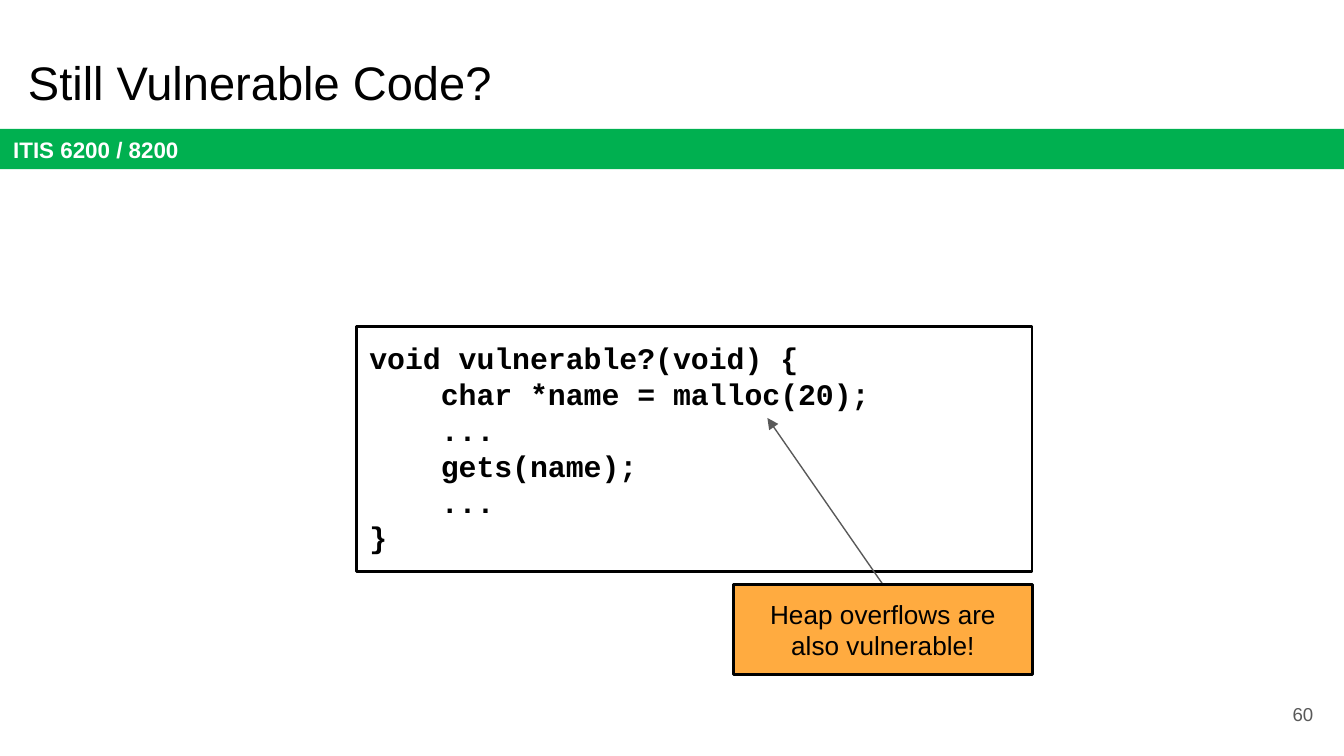
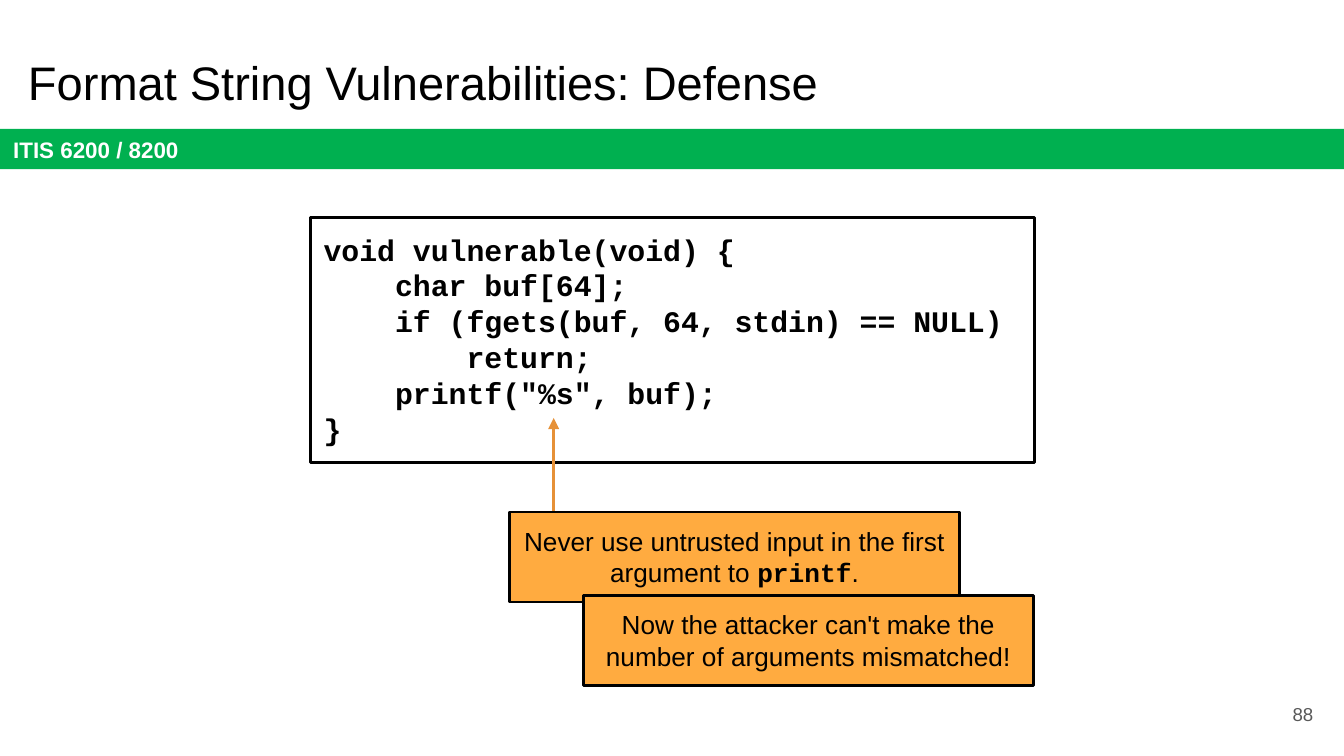
"""Builds two lecture slides on memory-safety vulnerabilities in C code."""
import pptx
import pptx.dml.color
import pptx.enum.shapes
import pptx.enum.text
import pptx.oxml.ns
import pptx.util
from lxml import etree

Inches = pptx.util.Inches
Pt = pptx.util.Pt
ALIGN = pptx.enum.text.PP_ALIGN
ANCHOR = pptx.enum.text.MSO_ANCHOR
FIT = pptx.enum.text.MSO_AUTO_SIZE

COLORS = {
    "black": "000000",
    "white": "FFFFFF",
    "green": "00B050",
    "orange": "FFAB40",
    "dark orange": "E69138",
    "gray": "595959",
}

COURSE = "ITIS 6200 / 8200"
SLIDES = [
    {
        "title": "Still Vulnerable Code?",
        "number": "60",
        "code_at": (2.65, 2.43, 5.03, 1.82),
        "code": [
            "void vulnerable?(void) {",
            "    char *name = malloc(20);",
            "    ...",
            "    gets(name);",
            "    ...",
            "}",
        ],
        "arrow": ((6.57, 4.35), (5.71, 3.11), "gray", 0.75),
        "callouts": [
            ((5.46, 4.35, 2.22, 0.67),
             [("Heap overflows are also vulnerable!", "callout")]),
        ],
    },
    {
        "title": "Format String Vulnerabilities: Defense",
        "number": "88",
        "code_at": (2.31, 1.62, 5.39, 1.82),
        "code": [
            "void vulnerable(void) {",
            "    char buf[64];",
            "    if (fgets(buf, 64, stdin) == NULL)",
            "        return;",
            '    printf("%s", buf);',
            "}",
        ],
        "arrow": ((4.12, 3.99), (4.12, 3.11), "dark orange", 1.5),
        "callouts": [
            ((3.79, 3.81, 3.35, 0.67),
             [("Never use untrusted input in the first argument to ", "callout"),
              ("printf", "inline code"), (".", "callout")]),
            ((4.34, 4.43, 3.35, 0.67),
             [("Now the attacker can't make the number of arguments mismatched!", "callout")]),
        ],
    },
]

FONTS = {
    "title": ({"name": "Arial", "size": Pt(25.2), "bold": False}, "black"),
    "course": ({"name": "Arial", "size": Pt(12), "bold": True}, "white"),
    "code": ({"name": "Courier New", "size": Pt(16), "bold": True}, "black"),
    "callout": ({"name": "Arial", "size": Pt(14), "bold": False}, "black"),
    "inline code": ({"name": "Courier New", "size": Pt(14), "bold": True}, "black"),
    "number": ({"name": "Arial", "size": Pt(10), "bold": False}, "gray"),
}
MARGINS = ("margin_left", "margin_top", "margin_right", "margin_bottom")
FRAME = {"word_wrap": True, **dict.fromkeys(MARGINS, Inches(0.1))}
PAGE = {"slide_width": Inches(10), "slide_height": Inches(10) * 9 // 16}


def rgb(color):
    return pptx.dml.color.RGBColor.from_string(COLORS[color])


def set_all(target, values):
    for attribute, value in values.items():
        setattr(target, attribute, value)


def write(holder, lines, align=ALIGN.LEFT, anchor=ANCHOR.TOP, fit=FIT.NONE):
    frame = holder.text_frame
    set_all(frame, {**FRAME, "vertical_anchor": anchor, "auto_size": fit})
    for index, line in enumerate(lines):
        paragraph = frame.add_paragraph() if index else frame.paragraphs[0]
        paragraph.alignment = align
        for words, style in line:
            run = paragraph.add_run()
            run.text = words
            values, color = FONTS[style]
            set_all(run.font, values)
            run.font.color.rgb = rgb(color)


def add_label(slide, at, words, style, **layout):
    label = slide.shapes.add_textbox(*map(Inches, at))
    write(label, [[(words, style)]], **layout)


def add_box(slide, at, fill, lines, outlined=True, **layout):
    box = slide.shapes.add_shape(
        pptx.enum.shapes.MSO_SHAPE.RECTANGLE, *map(Inches, at))
    box.shadow.inherit = False
    box.fill.solid()
    box.fill.fore_color.rgb = rgb(fill)
    if outlined:
        box.line.color.rgb = rgb("black")
        box.line.width = Pt(1.5)
    else:
        box.line.fill.background()
    write(box, lines, **layout)


def add_arrow(slide, start, end, color, width):
    arrow = slide.shapes.add_connector(
        pptx.enum.shapes.MSO_CONNECTOR.STRAIGHT, *map(Inches, start + end))
    arrow.line.color.rgb = rgb(color)
    arrow.line.width = Pt(width)
    qn = pptx.oxml.ns.qn
    properties = arrow.element.spPr
    etree.SubElement(properties.find(qn("a:ln")), qn("a:tailEnd"), type="triangle")
    etree.SubElement(properties, qn("a:effectLst"))


def build_slide(deck, content):
    slide = deck.slides.add_slide(deck.slide_layouts[6])
    add_box(slide, (0, 0.96, 10, 0.3), "green", [[(COURSE, "course")]],
            outlined=False, anchor=ANCHOR.MIDDLE)
    add_label(slide, (0.11, 0.3, 9.32, 0.63), content["title"], "title")
    add_box(slide, content["code_at"], "white",
            [[(line, "code")] for line in content["code"]], fit=FIT.SHAPE_TO_FIT_TEXT)
    add_label(slide, (9.27, 5.1, 0.6, 0.43), content["number"], "number",
              align=ALIGN.RIGHT, anchor=ANCHOR.MIDDLE)
    add_arrow(slide, *content["arrow"])
    for at, callout in content["callouts"]:
        add_box(slide, at, "orange", [callout],
                align=ALIGN.CENTER, fit=FIT.SHAPE_TO_FIT_TEXT)


def main():
    deck = pptx.Presentation()
    set_all(deck, PAGE)
    for content in SLIDES:
        build_slide(deck, content)
    deck.save("out.pptx")


if __name__ == "__main__":
    main()
